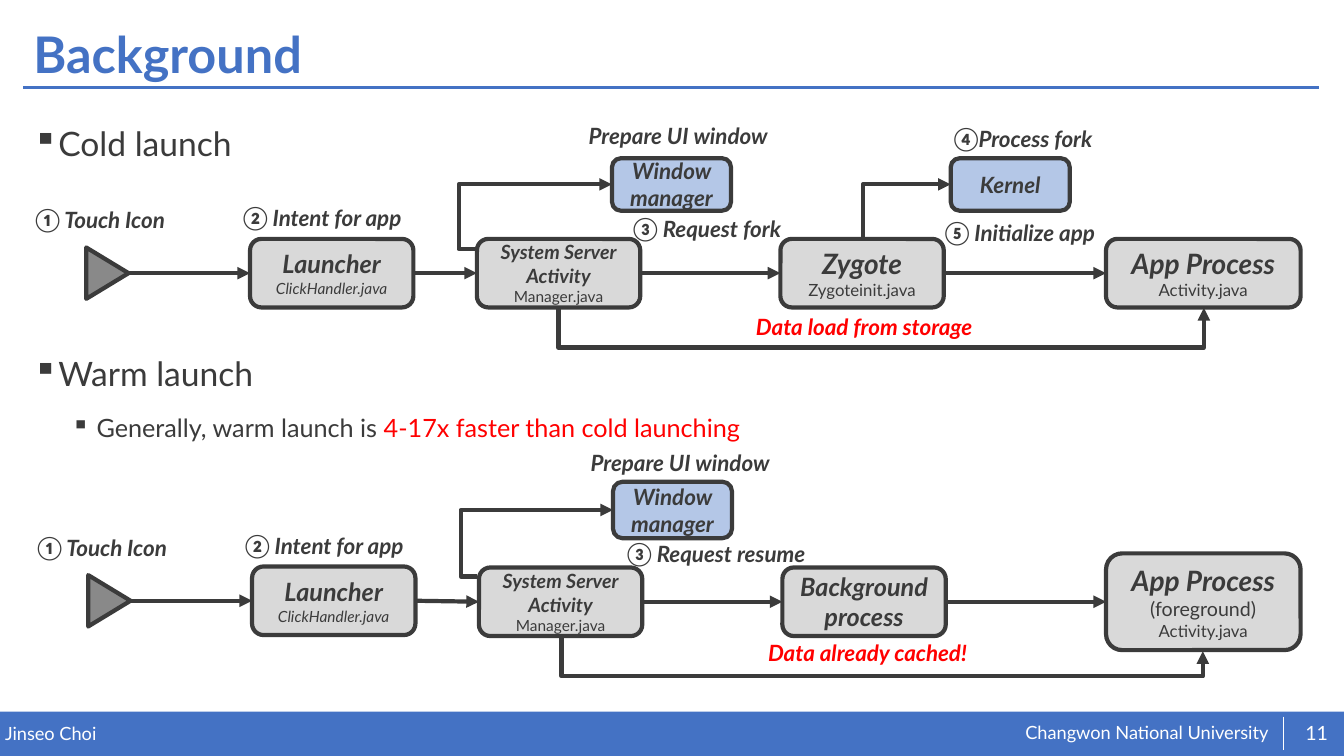
"""Builds the Background slide comparing cold and warm app launches."""
from lxml.etree import SubElement
from pptx import Presentation
from pptx.dml.color import RGBColor
from pptx.enum.shapes import MSO_CONNECTOR, MSO_SHAPE
from pptx.enum.text import MSO_ANCHOR, MSO_AUTO_SIZE, PP_ALIGN
from pptx.oxml.ns import qn
from pptx.util import Inches, Pt

BLUE = RGBColor(0x44, 0x72, 0xC4)
PALE_BLUE = RGBColor(0xB4, 0xC7, 0xE7)
INK = RGBColor(0x3B, 0x3B, 0x3B)
GRAY = RGBColor(0x89, 0x89, 0x89)
LIGHT_GRAY = RGBColor(0xD9, 0xD9, 0xD9)
RED = RGBColor(0xFF, 0x00, 0x00)
WHITE = RGBColor(0xFF, 0xFF, 0xFF)
TOP, LEFT, BOTTOM, RIGHT = range(4)
STEP_WIDTH, STEP_HEIGHT, APP_WIDTH = 1.62, 0.68, 1.93


def write(paragraph, text, size=16, color=INK, bold=False, italic=False):
    """Append a formatted run to a paragraph."""
    run = paragraph.add_run()
    run.text = text
    font = run.font
    font.name, font.size = "Lato", Pt(size)
    font.bold, font.italic = bold, italic
    font.color.rgb = color


class LaunchSlide:
    """Draws styled elements on one slide."""

    def __init__(self, slide):
        """Keep the slide and its line style."""
        self.slide = slide
        self.shapes = slide.shapes
        self.line_width = 3

    def title(self, text):
        """Place and format the title placeholder."""
        title = self.shapes.title
        title.left, title.top = Inches(0.23), Inches(0.18)
        title.width, title.height = Inches(12.86), Inches(0.77)
        frame = title.text_frame
        frame.auto_size = MSO_AUTO_SIZE.NONE
        frame.vertical_anchor = MSO_ANCHOR.MIDDLE
        paragraph = frame.paragraphs[0]
        paragraph.alignment = PP_ALIGN.LEFT
        paragraph.line_spacing = 0.9
        write(paragraph, text, size=36, color=BLUE, bold=True)

    def text_box(self, left, top, width, height, flush=False):
        """Add an empty wrapping text box and return its frame."""
        box = self.shapes.add_textbox(Inches(left), Inches(top), Inches(width), Inches(height))
        frame = box.text_frame
        frame.word_wrap = True
        if flush:
            frame.margin_left = frame.margin_right = 0
            frame.margin_top = frame.margin_bottom = 0
        return frame

    def label(self, left, top, text, color=INK):
        """Add a bold italic caption."""
        frame = self.text_box(left, top, 2.67, 0.37)
        write(frame.paragraphs[0], text, color=color, bold=True, italic=True)

    def bullet(self, paragraph, indent, space_before, level=0):
        """Give a paragraph a square bullet and its spacing."""
        properties = paragraph._p.get_or_add_pPr()
        properties.set("marL", str(Inches(indent)))
        properties.set("indent", str(Inches(-0.25)))
        SubElement(properties, qn("a:buChar")).set("char", "▪")
        paragraph.level = level
        paragraph.line_spacing = 1.4
        if space_before:
            paragraph.space_before = Pt(space_before)

    def shape(self, kind, left, top, width, height, fill, outline=INK):
        """Add a filled preset shape."""
        shape = self.shapes.add_shape(kind, Inches(left), Inches(top), Inches(width), Inches(height))
        shape.shadow.inherit = False
        shape.fill.solid()
        shape.fill.fore_color.rgb = fill
        if outline is None:
            shape.line.fill.background()
        else:
            shape.line.color.rgb = outline
            shape.line.width = Pt(self.line_width)
        return shape

    def node(self, left, top, width, height, heading, size, details=(), fill=LIGHT_GRAY):
        """Add a rounded box with a heading and detail lines of (text, size, italic)."""
        node = self.shape(MSO_SHAPE.ROUNDED_RECTANGLE, left, top, width, height, fill)
        frame = node.text_frame
        frame.word_wrap = True
        frame.vertical_anchor = MSO_ANCHOR.MIDDLE
        heading_line = frame.paragraphs[0]
        heading_line.alignment = PP_ALIGN.CENTER
        write(heading_line, heading, size=size, bold=True, italic=True)
        for text, detail_size, italic in details:
            detail_line = frame.add_paragraph()
            detail_line.alignment = PP_ALIGN.CENTER
            write(detail_line, text, size=detail_size, italic=italic)
        return node

    def line(self, begin, end, color=INK, width=None, arrow=False, kind=MSO_CONNECTOR.STRAIGHT):
        """Add a connector between two points."""
        line = self.shapes.add_connector(kind, *map(Inches, begin + end))
        line.line.color.rgb = color
        line.line.width = Pt(width or self.line_width)
        if arrow:
            SubElement(line.line._get_or_add_ln(), qn("a:tailEnd")).set("type", "triangle")
        SubElement(line.element.spPr, qn("a:effectLst"))
        return line

    def flow(self, source, target):
        """Join two boxes from right side to left side."""
        arrow = self.line((0, 0), (1, 1), arrow=True)
        arrow.begin_connect(source, RIGHT)
        arrow.end_connect(target, LEFT)

    def elbow(self, begin, end, turn=0, flips=(), preset="bentConnector3", bend=None):
        """Add a bent arrow, turned by whole degrees, with an optional bend distance."""
        across = abs(end[0] - begin[0])
        rise = max(abs(end[1] - begin[1]), 0.01)
        center_x, center_y = (begin[0] + end[0]) / 2, (begin[1] + end[1]) / 2
        width, height = (rise, across) if turn else (across, rise)
        left, top = center_x - width / 2, center_y - height / 2
        elbow = self.line((left, top), (left + width, top + height), arrow=True, kind=MSO_CONNECTOR.ELBOW)
        frame = elbow.element.spPr.find(qn("a:xfrm"))
        if turn:
            frame.set("rot", str(turn * 60000))
        for flip in flips:
            frame.set(flip, "1")
        geometry = elbow.element.spPr.find(qn("a:prstGeom"))
        geometry.set("prst", preset)
        if bend is not None:
            guide = SubElement(geometry.get_or_add_avLst(), qn("a:gd"))
            guide.set("name", "adj1")
            guide.set("fmla", f"val {round(bend / width * 100000)}")

    def footer(self):
        """Add the bottom band, its texts and the title rule."""
        self.shape(MSO_SHAPE.RECTANGLE, 0, 7.06, 13.33, 0.44, BLUE, outline=None)
        university = self.text_box(10.17, 7.16, 2.67, 0.23, flush=True)
        write(university.paragraphs[0], "Changwon National University", size=13, color=WHITE)
        author = self.text_box(0.05, 7.17, 6.55, 0.22, flush=True)
        write(author.paragraphs[0], "Jinseo Choi", size=13, color=WHITE)
        number = self.text_box(12.82, 7.07, 0.48, 0.4, flush=True)
        number.vertical_anchor = MSO_ANCHOR.MIDDLE
        number.paragraphs[0].alignment = PP_ALIGN.CENTER
        write(number.paragraphs[0], "11", size=14, color=WHITE)
        self.line((0.23, 0.87), (13.08, 0.87), color=BLUE, width=2)
        self.line((12.73, 7.11), (12.73, 7.44), color=WHITE, width=0.5)

    def launch_start(self, shift, top, server_top, window_top, window_height, window_label_top):
        """Draw the steps shared by both launches and return the server box."""
        self.shape(MSO_SHAPE.FLOWCHART_EXTRACT, 0.81 + shift, top + 0.13, 0.51, 0.42, GRAY).rotation = 90
        launcher = self.node(2.48 + shift, top, STEP_WIDTH, STEP_HEIGHT, "Launcher", 18,
                             [("ClickHandler.java", 11, True)])
        server = self.node(4.73 + shift, server_top, STEP_WIDTH, STEP_HEIGHT,
                           "System Server Activity", 14, [("Manager.java", 11, False)])
        middle = top + STEP_HEIGHT / 2
        touch = self.line((1.27 + shift, middle), (2.48 + shift, middle), arrow=True)
        touch.end_connect(launcher, LEFT)
        self.flow(launcher, server)
        window_left = 6.07 + shift / 2
        self.node(window_left, window_top, 1.18, window_height, "Window manager", 16, fill=PALE_BLUE)
        self.elbow((4.71 + shift, top + 0.1), (window_left, window_top + window_height / 2),
                   flips=["flipV"], bend=-0.16)
        self.label(0.25 + shift, top - 0.37, "① Touch Icon")
        self.label(2.31 + shift, top - 0.39, "② Intent for app")
        self.label(5.74 + shift, window_label_top, "Prepare UI window")
        return server


def main():
    """Build and save the slide."""
    presentation = Presentation()
    presentation.slide_width, presentation.slide_height = Inches(13.33), Inches(7.5)
    page = LaunchSlide(presentation.slides.add_slide(presentation.slide_layouts[5]))
    page.footer()
    page.title("Background")

    outline = page.text_box(0.23, 1.01, 12.86, 5.63)
    cold, warm, speed = outline.paragraphs[0], outline.add_paragraph(), outline.add_paragraph()
    page.bullet(cold, 0.25, 0)
    write(cold, "Cold launch", size=24)
    page.bullet(warm, 0.25, 124)
    write(warm, "Warm launch", size=24)
    page.bullet(speed, 0.63, 5, level=1)
    write(speed, "Generally, warm launch is ", size=18)
    write(speed, "4-17x faster than cold launching", size=18, color=RED)

    server = page.launch_start(0, 2.37, 2.37, 1.57, 0.52, 1.16)
    zygote = page.node(7.74, 2.37, STEP_WIDTH, STEP_HEIGHT, "Zygote", 20, [("Zygoteinit.java", 12, False)])
    app = page.node(10.97, 2.37, APP_WIDTH, STEP_HEIGHT, "App Process", 20, [("Activity.java", 12, False)])
    page.flow(server, zygote)
    page.flow(zygote, app)
    page.node(9.43, 1.57, 1.18, 0.52, "Kernel", 16, fill=PALE_BLUE)
    page.elbow((8.56, 2.37), (9.43, 1.83), turn=90, flips=["flipH", "flipV"], preset="bentConnector2")
    page.elbow((5.54, 3.05), (11.94, 3.05), turn=270, flips=["flipH"], bend=0.41)
    page.label(9.36, 1.19, "④Process fork")
    page.label(6.18, 2.09, "③ Request fork")
    page.label(9.27, 2.12, "⑤ Initialize app")
    page.label(7.4, 3.06, "Data load from storage", color=RED)

    server = page.launch_start(0.02, 5.62, 5.63, 4.78, 0.56, 4.41)
    background = page.node(7.76, 5.63, STEP_WIDTH, STEP_HEIGHT, "Background process", 18)
    app = page.node(10.97, 5.49, APP_WIDTH, 0.96, "App Process", 20,
                    [("(foreground)", 14, False), ("Activity.java", 12, False)])
    page.flow(server, background)
    page.flow(background, app)
    page.elbow((5.57, 6.31), (11.93, 6.46), turn=270, flips=["flipH"], bend=0.4)
    page.label(6.12, 5.31, "③ Request resume")
    page.label(7.52, 6.29, "Data already cached!", color=RED)
    presentation.save("out.pptx")


if __name__ == "__main__":
    main()
